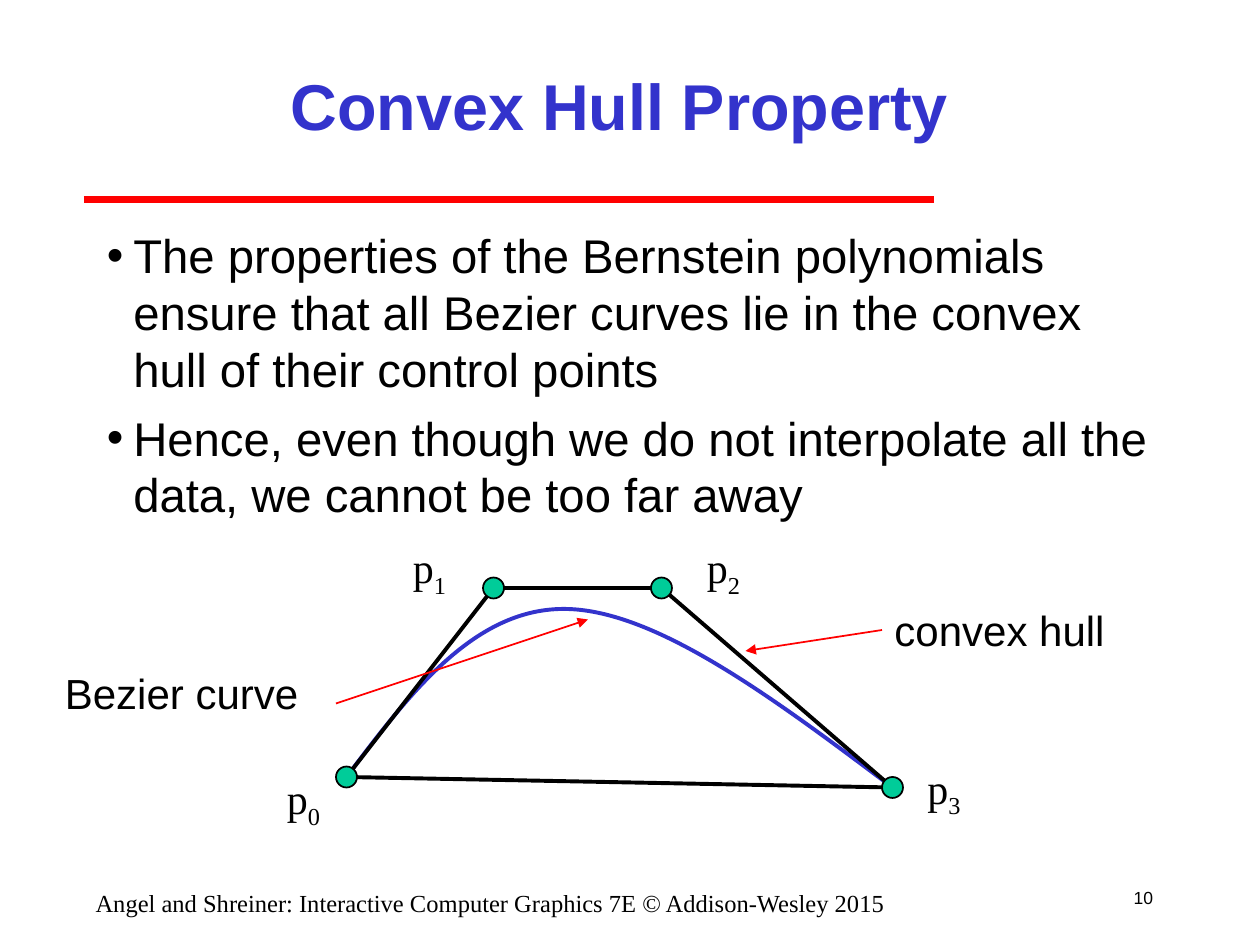
from dataclasses import dataclass

from lxml import etree
from pptx import Presentation
from pptx import util as u
from pptx.dml.color import RGBColor
from pptx.enum import shapes, text
from pptx.oxml.ns import qn

CELL = u.Inches(1) / 12  # the slide is a grid of 120 columns and 90 rows


@dataclass(frozen=True)
class Theme:
    sans: str = "Arial"
    serif: str = "Times New Roman"
    ink: str = "000000"
    blue: str = "3333CC"
    red: str = "FF0000"
    green: str = "00CC99"
    title: float = 37
    body: float = 27
    label: float = 24
    footer: float = 14
    number: float = 10
    rule: float = 4
    curve: float = 2.25
    thin: float = 1


THEME = Theme()


def grid(n):
    return u.Emu(round(n * CELL))


def rgb(color):
    return RGBColor.from_string(color)


def style_line(sp, color, width):
    sp.line.color.rgb = rgb(color)
    sp.line.width = u.Pt(width)


def style_run(r, size, font, color, bold=False):
    r.font.size, r.font.name, r.font.bold = u.Pt(size), font, bold
    r.font.color.rgb = rgb(color)


def add_text(s, box, lines, size, font=THEME.sans, color=THEME.ink, bold=False,
             align=text.PP_ALIGN.LEFT, anchor=text.MSO_ANCHOR.TOP, wrap=True):
    sp = s.shapes.add_textbox(*map(grid, box))
    tf = sp.text_frame
    tf.word_wrap = wrap
    tf.vertical_anchor = anchor
    tf.text = "\n".join(lines)
    for p in tf.paragraphs:
        p.alignment = align
        for r in p.runs:
            style_run(r, size, font, color, bold)
    return sp


def add_label(s, box, words, font=THEME.sans):
    """Put one unwrapped line in a box that grows with its text."""
    sp = add_text(s, box, [words], THEME.label, font, wrap=False)
    sp.text_frame.auto_size = text.MSO_AUTO_SIZE.SHAPE_TO_FIT_TEXT
    return sp


def add_point_label(s, left, top, index):
    sp = add_label(s, (left, top, 5.6, 6.7), "p", THEME.serif)
    r = sp.text_frame.paragraphs[0].add_run()
    r.text = str(index)
    style_run(r, THEME.label, THEME.serif, THEME.ink)
    r.font._element.set("baseline", "-25000")


def add_bullets(s, box, lines):
    sp = add_text(s, box, lines, THEME.body)
    for i, p in enumerate(sp.text_frame.paragraphs):
        p.space_before = u.Pt(6.8 if i else 0)
        pPr = p._p.get_or_add_pPr()
        indent = u.Inches(0.21)
        pPr.set("marL", str(indent))
        pPr.set("indent", str(-indent))
        etree.SubElement(pPr, qn("a:buFont"), typeface=THEME.sans)
        etree.SubElement(pPr, qn("a:buChar"), char="•")


def add_line(s, start, end, color, width, arrow=False):
    sp = s.shapes.add_connector(shapes.MSO_CONNECTOR.STRAIGHT, *map(grid, (*start, *end)))
    style_line(sp, color, width)
    if arrow:
        etree.SubElement(sp.line._get_or_add_ln(), qn("a:tailEnd"), type="triangle")
    etree.SubElement(sp._element.spPr, qn("a:effectLst"))
    return sp


def add_dot(s, x, y):
    sp = s.shapes.add_shape(shapes.MSO_SHAPE.OVAL, *map(grid, (x - 1, y - 1, 2, 2)))
    sp.shadow.inherit = False
    sp.fill.solid()
    sp.fill.fore_color.rgb = rgb(THEME.green)
    style_line(sp, THEME.ink, THEME.thin)


def add_bezier(s, start, controls):
    """Draw an open curve; each three control points make one cubic segment."""
    fb = s.shapes.build_freeform(grid(start[0]), grid(start[1]))
    fb.add_line_segments([(grid(x), grid(y)) for x, y in controls], close=False)
    sp = fb.convert_to_shape()
    path = sp._element.find(".//" + qn("a:path"))
    segments = path.findall(qn("a:lnTo"))
    for i in range(0, len(segments), 3):
        cubic = etree.SubElement(path, qn("a:cubicBezTo"))
        for segment in segments[i:i + 3]:
            cubic.append(segment[0])
            path.remove(segment)
    sp.shadow.inherit = False
    sp.fill.background()
    style_line(sp, THEME.blue, THEME.curve)


def add_diagram(s):
    p0, p1, p2, p3 = (33, 74), (47, 56), (63, 56), (85, 75)
    # Curve, then hull edges
    add_bezier(s, p0, [(39.1, 65.9), (45.3, 57.8), (54, 58),
                       (62.6, 58.2), (73.8, 66.6), p3])
    for start, end in ((p0, p1), (p3, p2), (p1, p2), (p0, p3)):
        add_line(s, start, end, THEME.ink, THEME.curve)
    # Control points and their names
    for point in (p3, p0, p1, p2):
        add_dot(s, *point)
    for i, (left, top) in enumerate(((26.15, 73), (38.15, 51), (66.15, 51), (87.15, 72))):
        add_point_label(s, left, top, i)
    # Callouts
    hull = add_label(s, (84, 57, 22.4, 6), "convex hull")
    pointer = add_line(s, (84, 60), (71, 62), THEME.red, THEME.thin, arrow=True)
    pointer.begin_connect(hull, 1)
    add_label(s, (5, 63, 24.6, 6), "Bezier curve")
    add_line(s, (32, 67), (56, 59), THEME.red, THEME.thin, arrow=True)


def main():
    prs = Presentation()
    prs.slide_width, prs.slide_height = grid(120), grid(90)
    s = prs.slides.add_slide(prs.slide_layouts[6])

    # Heading and page number
    add_line(s, (8, 19), (89, 19), THEME.red, THEME.rule)
    add_text(s, (106, 83, 5, 5), ["10"], THEME.number, align=text.PP_ALIGN.RIGHT,
             anchor=text.MSO_ANCHOR.MIDDLE, wrap=False)
    add_text(s, (18, 3, 82, 14), ["Convex Hull Property"], THEME.title,
             color=THEME.blue, bold=True, align=text.PP_ALIGN.CENTER,
             anchor=text.MSO_ANCHOR.MIDDLE)

    # Body
    add_bullets(s, (9, 21, 102, 62), [
        "The properties of the Bernstein polynomials ensure that all Bezier curves "
        "lie in the convex hull of their control points",
        "Hence, even though we do not interpolate all the data, we cannot be too far away",
    ])
    add_diagram(s)

    # Footer
    add_text(s, (6, 84, 82, 3),
             ["Angel and Shreiner: Interactive Computer Graphics 7E © Addison-Wesley 2015 "],
             THEME.footer, THEME.serif, align=text.PP_ALIGN.CENTER)
    prs.save("out.pptx")


if __name__ == "__main__":
    main()
